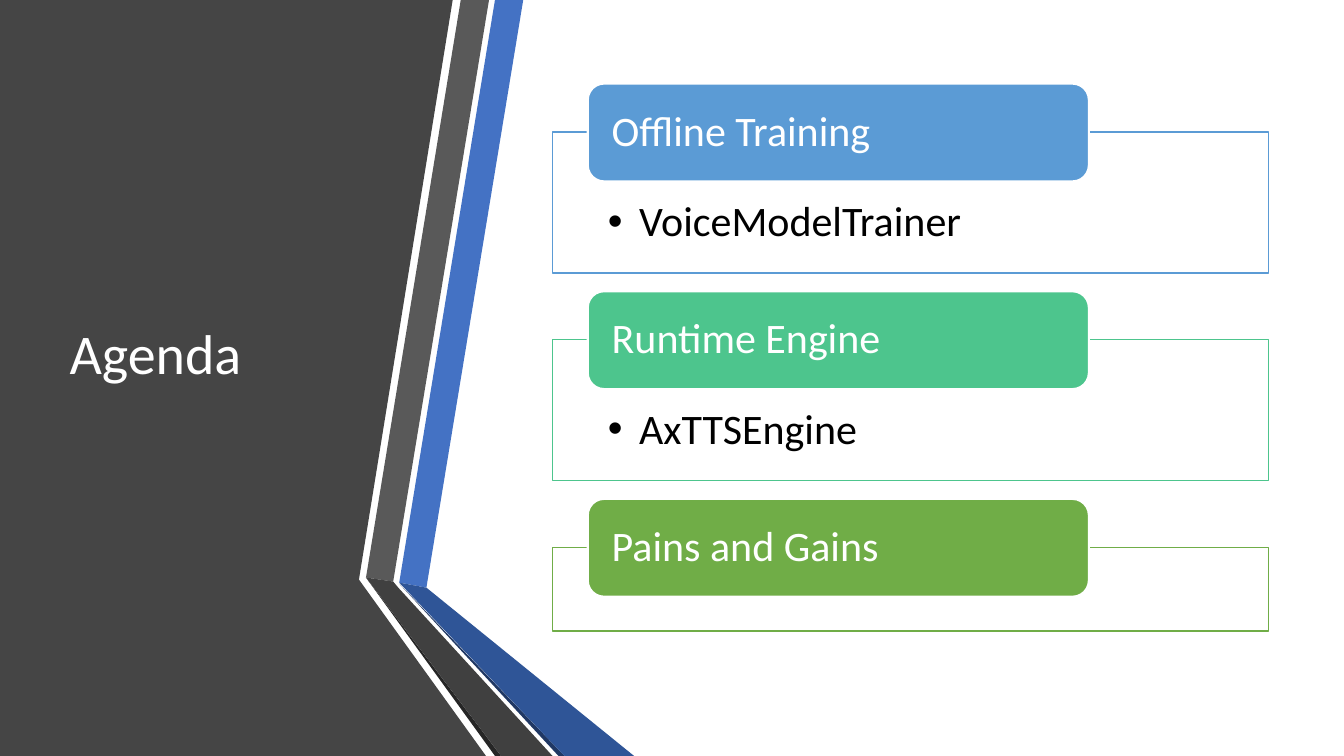
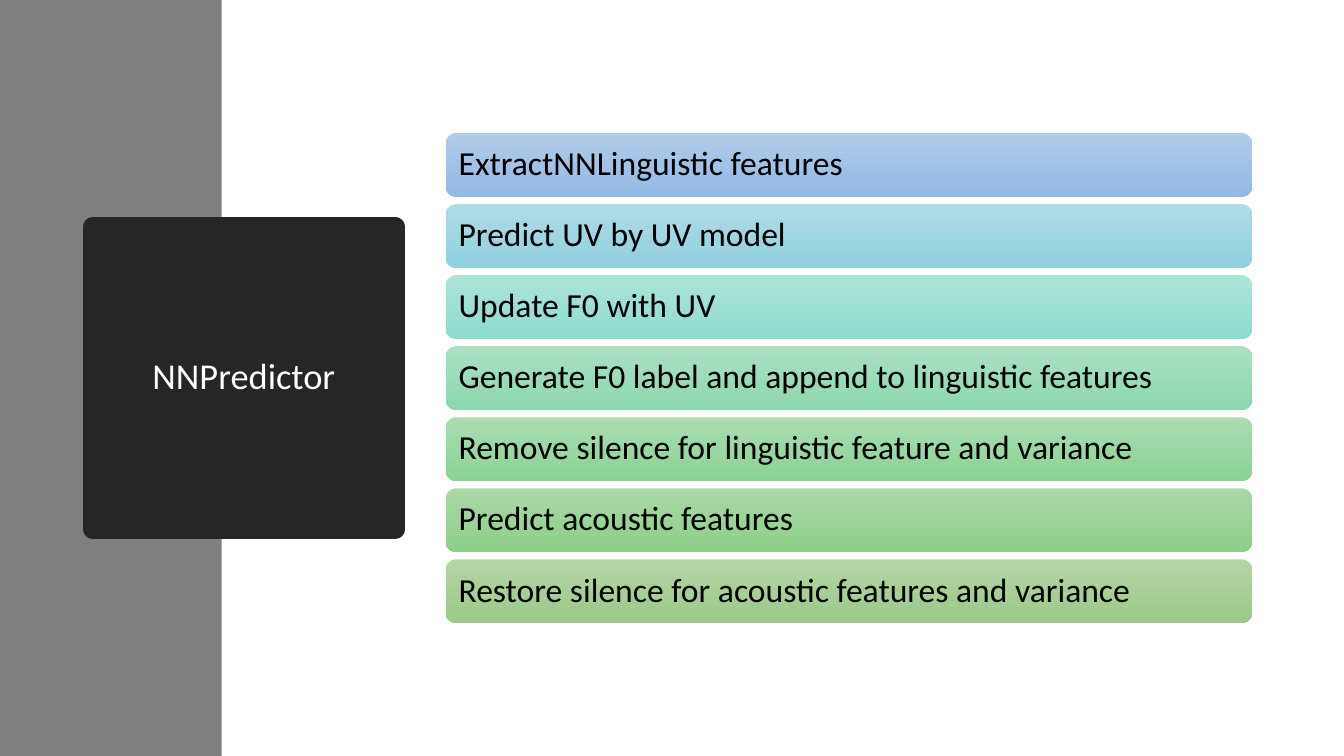
from lxml import etree
from pptx import Presentation
from pptx.dml.color import RGBColor
from pptx.enum import shapes, text
from pptx.oxml import ns
from pptx.util import Inches, Pt

FONT = "Calibri"
WHITE = RGBColor(0xFF, 0xFF, 0xFF)
BLACK = RGBColor(0x00, 0x00, 0x00)
CHARCOAL = RGBColor(0x45, 0x45, 0x45)
GRAY = RGBColor(0x59, 0x59, 0x59)
DARK_GRAY = RGBColor(0x40, 0x40, 0x40)
NEAR_BLACK = RGBColor(0x26, 0x26, 0x26)
SIDEBAR_GRAY = RGBColor(0x7F, 0x7F, 0x7F)
BLUE = RGBColor(0x44, 0x72, 0xC4)
DEEP_BLUE = RGBColor(0x2F, 0x55, 0x97)
NAVY = RGBColor(0x20, 0x38, 0x64)
SKY = RGBColor(0x5B, 0x9B, 0xD5)
MINT = RGBColor(0x4D, 0xC5, 0x8D)
GREEN = RGBColor(0x70, 0xAD, 0x47)

LEFT, CENTER = text.PP_ALIGN.LEFT, text.PP_ALIGN.CENTER
TOP, MIDDLE = text.MSO_ANCHOR.TOP, text.MSO_ANCHOR.MIDDLE


def style(shape, fill, line=None, line_width=1):
    """Give a shape a plain fill and an outline, or no outline, without shadow."""
    shape.shadow.inherit = False
    shape.fill.solid()
    shape.fill.fore_color.rgb = fill
    if line is None:
        shape.line.fill.background()
    else:
        shape.line.color.rgb = line
        shape.line.width = Pt(line_width)


def write(shape, words, size, color, align=LEFT, anchor=MIDDLE,
          margins=(0.1, 0.05, 0.1, 0.05)):
    """Put one formatted paragraph in a shape; margins run left, top, right, bottom."""
    frame = shape.text_frame
    frame.word_wrap = True
    frame.auto_size = text.MSO_AUTO_SIZE.NONE
    frame.vertical_anchor = anchor
    for side, margin in zip(("left", "top", "right", "bottom"), margins):
        setattr(frame, f"margin_{side}", Inches(margin))
    para = frame.paragraphs[0]
    para.alignment = align
    para.line_spacing = 0.9
    span = para.add_run()
    span.text = words
    span.font.color.rgb = color
    for name, value in {"name": FONT, "size": Pt(size)}.items():
        setattr(span.font, name, value)
    return para


deck = Presentation()
deck.slide_width, deck.slide_height = Inches(13.33), Inches(7.5)
title_only = deck.slide_layouts[5]

# Agenda: folded ribbon beside a dark panel
page = deck.slides.add_slide(title_only)
ribbon_pieces = [
    (CHARCOAL, [(0, 0), (4.49, 0), (3.56, 5.75), (4.82, 7.5), (0, 7.5)]),
    (BLUE, [(3.96, 5.78), (4.23, 5.83), (5.19, 0), (4.91, 0)]),
    (GRAY, [(4.85, 0), (4.57, 0), (3.63, 5.73), (3.9, 5.77)]),
    (NEAR_BLACK, [(3.63, 5.73), (4.91, 7.5), (4.97, 7.5)]),
    (NAVY, [(3.96, 5.79), (5.54, 7.5), (5.6, 7.5)]),
    (DEEP_BLUE, [(3.96, 5.78), (5.6, 7.5), (6.29, 7.5), (4.23, 5.83)]),
    (DARK_GRAY, [(5.48, 7.5), (3.95, 5.83), (3.9, 5.77), (3.63, 5.73), (4.97, 7.5)]),
]
for color, corners in ribbon_pieces:
    points = [(Inches(x), Inches(y)) for x, y in corners]
    outline = page.shapes.build_freeform(*points[0])
    outline.add_line_segments(points[1:], close=True)
    piece = outline.convert_to_shape()
    style(piece, color)

title = page.shapes.title
title.left, title.top = Inches(0.59), Inches(0.75)
title.width, title.height = Inches(3.04), Inches(5.58)
write(title, "Agenda", 40, WHITE)
piece.element.addnext(title.element)

agenda = [
    ("Offline Training", "VoiceModelTrainer", SKY, 1.4),
    ("Runtime Engine", "AxTTSEngine", MINT, 1.4),
    ("Pains and Gains", None, GREEN, 0.83),
]
for index, (heading, detail, color, height) in enumerate(agenda):
    top = 1.31 + 2.06 * index
    frame_box = page.shapes.add_shape(
        shapes.MSO_SHAPE.RECTANGLE, Inches(5.48), Inches(top), Inches(7.1), Inches(height))
    style(frame_box, WHITE, color)
    if detail:
        para = write(frame_box, detail, 30, BLACK, anchor=TOP,
                     margins=(0.55, 0.68, 0.55, 0.23))
        properties = para._p.get_or_add_pPr()
        properties.set("marL", str(Inches(0.31)))
        properties.set("indent", str(Inches(-0.31)))
        etree.SubElement(properties, ns.qn("a:buFont"), typeface="Arial")
        etree.SubElement(properties, ns.qn("a:buChar"), char="•")
    header = page.shapes.add_shape(
        shapes.MSO_SHAPE.ROUNDED_RECTANGLE,
        Inches(5.83), Inches(top - 0.48), Inches(4.97), Inches(0.97))
    style(header, color, WHITE, 1.5)
    write(header, heading, 30, WHITE, margins=(0.19, 0, 0.19, 0))

# NNPredictor: title block over a sidebar, with a list of steps
page = deck.slides.add_slide(title_only)
sidebar = page.shapes.add_shape(
    shapes.MSO_SHAPE.RECTANGLE, 0, 0, Inches(2.2), deck.slide_height)
style(sidebar, SIDEBAR_GRAY)

title = page.shapes.title
title.left, title.top = Inches(0.92), Inches(2.25)
title.width = title.height = Inches(3)
style(title, NEAR_BLACK, NEAR_BLACK, 13.75)
write(title, "NNPredictor", 26, WHITE, CENTER)
sidebar.element.addnext(title.element)

steps = [
    ("ExtractNNLinguistic features", "B1CBE9", "93B9E4"),
    ("Predict UV by UV model", "AFDCE6", "90D1E0"),
    ("Update F0 with UV", "ADE3D9", "8EDCCE"),
    ("Generate F0 label and append to linguistic features", "ABE0C3", "8CD8AF"),
    ("Remove silence for linguistic feature and variance", "AADCB2", "8AD396"),
    ("Predict acoustic features", "ABD9A8", "8DCE88"),
    ("Restore silence for acoustic features and variance", "B5D5A7", "9CC987"),
]
list_top, list_bottom, bar_height = 1.32, 6.18, 0.63
pitch = (list_bottom - list_top - bar_height) / (len(steps) - 1)
for index, (words, *shades) in enumerate(steps):
    bar = page.shapes.add_shape(
        shapes.MSO_SHAPE.ROUNDED_RECTANGLE,
        Inches(4.42), Inches(list_top + pitch * index), Inches(8), Inches(bar_height))
    bar.shadow.inherit = False
    bar.line.fill.background()
    bar.fill.gradient()
    bar.fill.gradient_angle = 270
    for stop, shade in zip(bar.fill.gradient_stops, shades):
        stop.color.rgb = RGBColor.from_string(shade)
    write(bar, words, 24, BLACK, margins=(0.1, 0.1, 0.1, 0.1))

deck.save("out.pptx")
